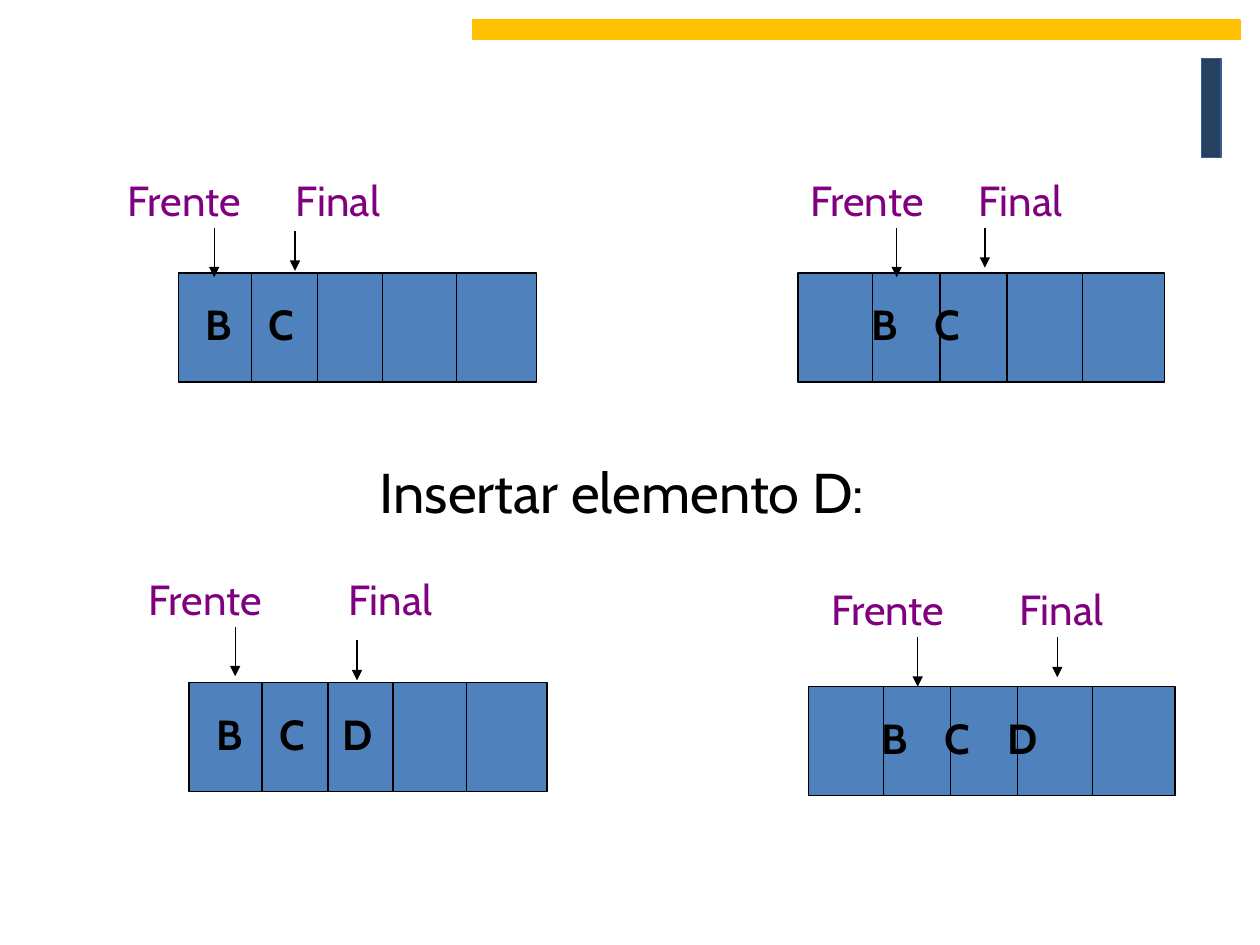
from dataclasses import dataclass

from lxml import etree
from pptx import Presentation
from pptx.dml.color import RGBColor
from pptx.enum.shapes import MSO_CONNECTOR as CONN, MSO_SHAPE as SHAPE
from pptx.enum.text import MSO_ANCHOR as ANCHOR
from pptx.oxml.ns import qn
from pptx.util import Inches, Pt

COLS, ROWS = 120, 90
EDGES = [0.204, 0.388, 0.57, 0.776]
ROW_H = 10.4


def rgb(code):
    return RGBColor.from_string(code)


@dataclass
class Queue:
    left: float
    top: float
    width: float
    letters: str
    indent: float
    tabs: list
    label_top: float
    front: float
    back: float
    back_arrow: tuple


class Sketch:
    font = "Cabin"
    ink, label_color, cell_color = "000000", "800080", "4F81BD"

    def __init__(self, prs):
        self.col = prs.slide_width / COLS
        self.row = prs.slide_height / ROWS
        self.s = prs.slides.add_slide(prs.slide_layouts[6])

    def at(self, x, y):
        return round(x * self.col), round(y * self.row)

    def rect(self, x, y, w, h, fill, line):
        sp = self.s.shapes.add_shape(SHAPE.RECTANGLE, *self.at(x, y), *self.at(w, h))
        sp.shadow.inherit = False
        sp.fill.solid()
        sp.fill.fore_color.rgb = rgb(fill)
        sp.line.color.rgb = rgb(line)
        sp.line.width = Pt(0.75)

    def text(self, x, y, w, h, words, color, size=24, bold=False, indent=0, tabs=()):
        tf = self.s.shapes.add_textbox(*self.at(x, y), *self.at(w, h)).text_frame
        for name, value in {"word_wrap": True, "vertical_anchor": ANCHOR.TOP}.items():
            setattr(tf, name, value)
        p = tf.paragraphs[0]
        if tabs:
            pPr = p._p.get_or_add_pPr()
            pPr.set("marL", str(round(indent * self.col)))
            pPr.set("indent", "0")
            stops = etree.SubElement(pPr, qn("a:tabLst"))
            for stop in tabs:
                etree.SubElement(stops, qn("a:tab"), pos=str(round(stop * self.col)), algn="l")
        r = p.add_run()
        r.text = words
        for name, value in {"name": self.font, "size": Pt(size), "bold": bold}.items():
            setattr(r.font, name, value)
        r.font.color.rgb = rgb(color)

    def vertical(self, x, y, length, arrow=False):
        line = self.s.shapes.add_connector(CONN.STRAIGHT, *self.at(x, y), *self.at(x, y + length))
        line.line.color.rgb = rgb(self.ink)
        line.line.width = Pt(0.75)
        if arrow:
            etree.SubElement(line.line._get_or_add_ln(), qn("a:tailEnd"), type="triangle")
        etree.SubElement(line._element.spPr, qn("a:effectLst"))

    def queue(self, q):
        self.rect(q.left, q.top, q.width, ROW_H, self.cell_color, self.ink)
        for edge in EDGES:
            self.vertical(q.left + edge * q.width, q.top, ROW_H)
        self.text(q.left + 1.4, q.top + 1.85, q.width - 1.4, 6, "\t".join(q.letters),
                  self.ink, bold=True, indent=q.indent, tabs=q.tabs)
        self.text(q.front, q.label_top, 14.2, 6, "Frente", self.label_color)
        self.text(q.back, q.label_top, 12.2, 6, "Final", self.label_color)
        self.vertical(q.front + 9.4, q.label_top + 5.7, 4.7, arrow=True)
        self.vertical(*q.back_arrow, 3.8, arrow=True)


def main():
    prs = Presentation()
    prs.slide_width, prs.slide_height = Inches(10), Inches(7.5)
    sketch = Sketch(prs)
    sketch.rect(114.4, 5.6, 1.9, 9.4, "254061", "376092")
    sketch.rect(45, 1.9, 73.1, 1.9, "FFC000", "FFC000")
    sketch.text(35, 43, 54, 7.6, "Insertar elemento D:", sketch.ink, size=32)
    left_tabs, right_tabs = [5.1, 10.3], [10.5, 15.6]
    for q in [
        Queue(17, 26, 34.1, "BC", 0, left_tabs, 16, 11, 27, (28.1, 22)),
        Queue(76, 26, 34.9, "BC", 4.4, right_tabs, 16, 76, 92, (93.8, 21.7)),
        Queue(18, 65, 34.1, "BCD", 0, left_tabs, 54, 13, 32, (34, 61)),
        Queue(77, 65.4, 34.9, "BCD", 4.4, right_tabs, 55, 78, 95.9, (100.7, 60.7)),
    ]:
        sketch.queue(q)
    prs.save("out.pptx")


if __name__ == "__main__":
    main()
